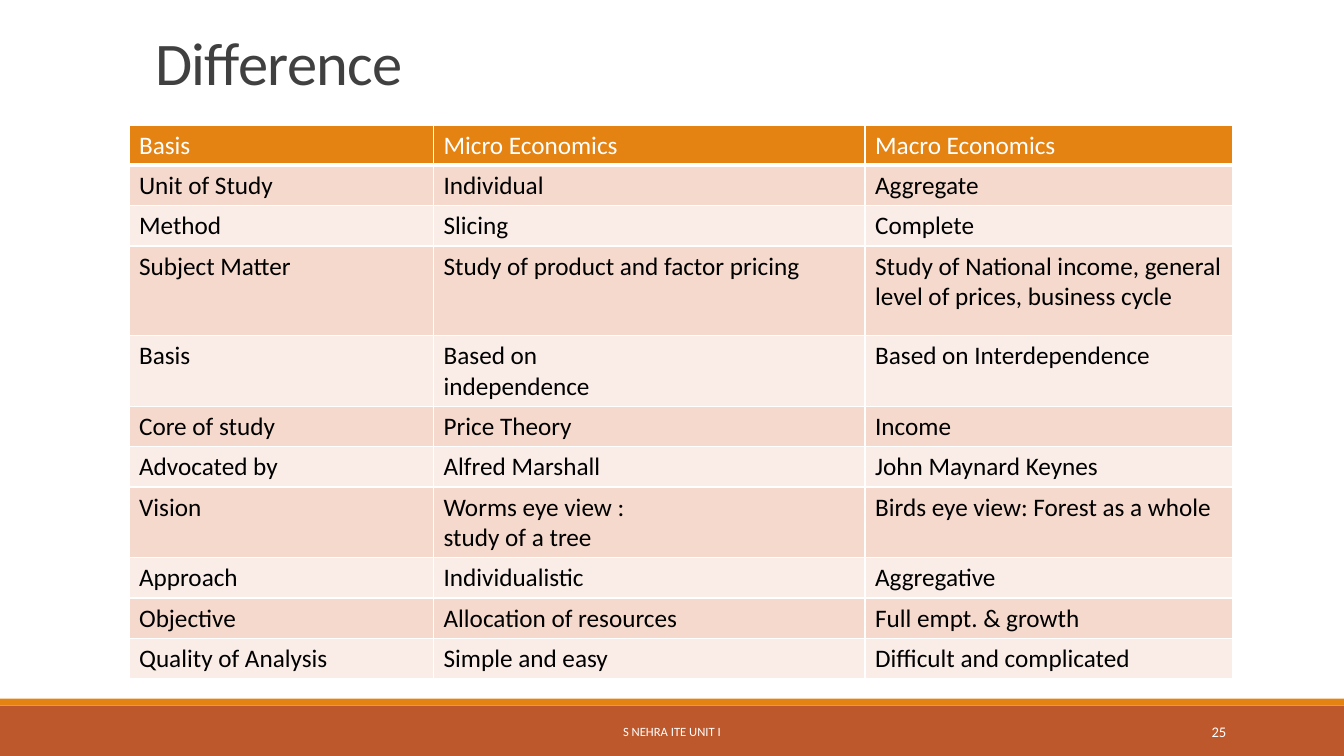
from dataclasses import dataclass

from lxml import etree
from pptx import Presentation
from pptx import util as u
from pptx.dml import color
from pptx.enum import shapes, text
from pptx.oxml import ns

SLIDE_WIDTH, SLIDE_HEIGHT = u.Inches(13.33), u.Inches(7.5)


@dataclass(frozen=True)
class Theme:
    font: str = "Calibri"
    orange: str = "E48312"
    rust: str = "BD582C"
    dark_band: str = "F5D9CC"
    light_band: str = "FAEDE7"
    heading: str = "404040"
    body: str = "000000"
    white: str = "FFFFFF"
    heading_size: float = 43.2
    body_size: float = 18
    number_size: float = 10.5
    footer_size: float = 9
    rule: float = 1
    header_rule: float = 3


THEME = Theme()
COLUMN_SHARES = (22.66, 32.11, 27.38)
ROW_SHARE = 4.53
TALL_ROW_SHARES = {"Subject Matter": 11.87, "Vision": 8}
COMPARISON = (
    ("Basis", "Micro Economics", "Macro Economics"),
    ("Unit of Study", "Individual", "Aggregate"),
    ("Method", "Slicing", "Complete"),
    ("Subject Matter", "Study of product and factor pricing",
     "Study of National income, general level of prices, business cycle"),
    ("Basis", "Based on\nindependence", "Based on Interdependence"),
    ("Core of study", "Price Theory", "Income"),
    ("Advocated by", "Alfred Marshall", "John Maynard Keynes"),
    ("Vision", "Worms eye view :\nstudy of a tree", "Birds eye view: Forest as a whole"),
    ("Approach", "Individualistic", "Aggregative"),
    ("Objective", "Allocation of resources", "Full empt. & growth"),
    ("Quality of Analysis", "Simple and easy", "Difficult and complicated"),
)


def across(percent):
    return round(SLIDE_WIDTH * percent / 100)


def down(percent):
    return round(SLIDE_HEIGHT * percent / 100)


def area(left, top, width, height):
    return across(left), down(top), across(width), down(height)


def rgb(value):
    return color.RGBColor.from_string(value)


def add_run(paragraph, words, size, ink):
    run = paragraph.add_run()
    run.text = words
    run.font.name = THEME.font
    run.font.size = u.Pt(size)
    run.font.bold = False
    run.font.color.rgb = rgb(ink)
    return run


def add_band(slide, top, height, fill):
    band = slide.shapes.add_shape(shapes.MSO_SHAPE.RECTANGLE, *area(0, top, 100, height))
    band.shadow.inherit = False
    band.fill.solid()
    band.fill.fore_color.rgb = rgb(fill)
    band.line.fill.background()


def add_label(slide, place, words, size, ink, align, anchor):
    frame = slide.shapes.add_textbox(*area(*place)).text_frame
    frame.word_wrap = True
    frame.vertical_anchor = anchor
    paragraph = frame.paragraphs[0]
    paragraph.alignment = align
    return paragraph, add_run(paragraph, words, size, ink)


def add_heading(slide, words):
    paragraph, run = add_label(slide, (10.8, 4.27, 61.29, 9.33), words, THEME.heading_size,
                               THEME.heading, text.PP_ALIGN.LEFT, text.MSO_ANCHOR.BOTTOM)
    paragraph.line_spacing = 0.85
    run.font._element.set("spc", "-50")


def set_borders(cell, top, bottom):
    properties = cell._tc.get_or_add_tcPr()
    widths = {"lnL": THEME.rule, "lnR": THEME.rule, "lnT": top, "lnB": bottom}
    for position, (side, width) in enumerate(widths.items()):
        border = etree.Element(ns.qn(f"a:{side}"), w=str(u.Pt(width)))
        fill = etree.SubElement(border, ns.qn("a:solidFill"))
        etree.SubElement(fill, ns.qn("a:srgbClr"), val=THEME.white)
        properties.insert(position, border)


def fill_cell(cell, words, fill, ink):
    cell.fill.solid()
    cell.fill.fore_color.rgb = rgb(fill)
    for index, line in enumerate(words.split("\n")):
        frame = cell.text_frame
        paragraph = frame.add_paragraph() if index else frame.paragraphs[0]
        add_run(paragraph, line, THEME.body_size, ink)


def row_share(entries):
    two_lines = any("\n" in words for words in entries)
    return TALL_ROW_SHARES.get(entries[0], 8 if two_lines else ROW_SHARE)


def add_comparison(slide):
    heights = [row_share(entries) for entries in COMPARISON]
    place = area(9.6, 16.53, sum(COLUMN_SHARES), sum(heights))
    table = slide.shapes.add_table(len(heights), len(COLUMN_SHARES), *place).table
    for column, share in zip(table.columns, COLUMN_SHARES):
        column.width = across(share)
    for index, (row, entries) in enumerate(zip(table.rows, COMPARISON)):
        row.height = down(heights[index])
        band = THEME.dark_band if index % 2 else THEME.light_band
        fill, ink = (band, THEME.body) if index else (THEME.orange, THEME.white)
        top = THEME.header_rule if index == 1 else THEME.rule
        bottom = THEME.rule if index else THEME.header_rule
        for cell, words in zip(row.cells, entries):
            fill_cell(cell, words, fill, ink)
            set_borders(cell, top, bottom)


def main():
    deck = Presentation()
    deck.slide_width, deck.slide_height = SLIDE_WIDTH, SLIDE_HEIGHT
    slide = deck.slides.add_slide(deck.slide_layouts[6])
    add_band(slide, 93.33, 6.67, THEME.rust)
    add_band(slide, 92.4, 0.93, THEME.orange)
    add_heading(slide, "Difference")
    add_comparison(slide)
    add_label(slide, (81.25, 94.13, 10.73, 5.33), "25", THEME.number_size,
              THEME.white, text.PP_ALIGN.RIGHT, text.MSO_ANCHOR.MIDDLE)
    add_label(slide, (30.23, 94.13, 39.53, 5.33), "S NEHRA ITE UNIT I", THEME.footer_size,
              THEME.white, text.PP_ALIGN.CENTER, text.MSO_ANCHOR.MIDDLE)
    deck.save("out.pptx")


if __name__ == "__main__":
    main()
